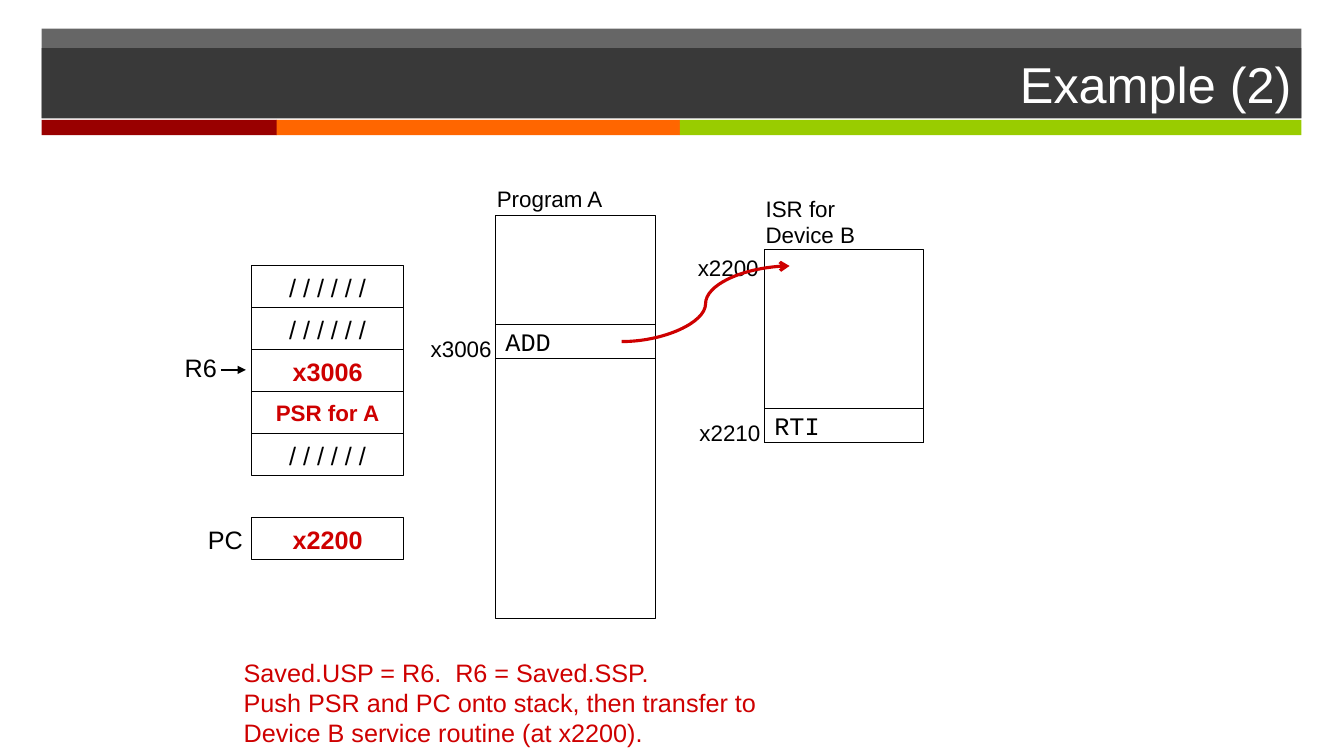
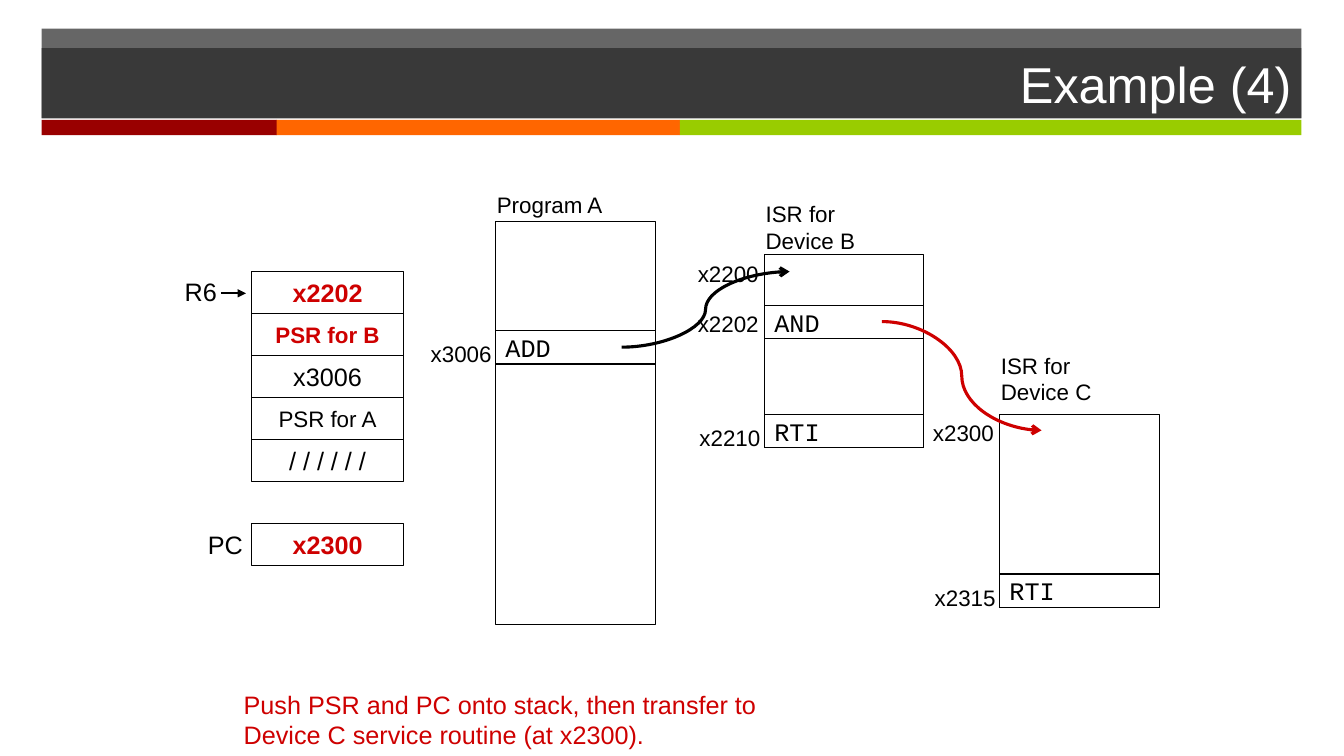
from lxml.etree import SubElement
from pptx import Presentation
from pptx.dml.color import RGBColor
from pptx.enum.shapes import MSO_CONNECTOR, MSO_SHAPE
from pptx.enum.text import MSO_ANCHOR, MSO_AUTO_SIZE, PP_ALIGN
from pptx.oxml.ns import qn
from pptx.util import Pt

COLORS = {
    "black": "000000",
    "white": "FFFFFF",
    "red": "CE0000",
    "band": "262626",
    "stripe_red": "990000",
    "stripe_orange": "FF6600",
    "stripe_green": "99CC00",
}
STRIPES = [("stripe_red", 168), ("stripe_orange", 288), ("stripe_green", 444)]

# Address labels: overhang past the block's left edge, drop below the row's top
AT_TOP = (3, 0)
AT_ROW = (4.2, 3.5)


class Deck:
    """Holds the shared style and the slide being drawn."""

    font, code_font = "Arial", "Courier New"
    text_size, label_size, title_size = 18, 16, 36
    inset = 7.2
    band_left, band_width = 29.7, 900
    stack_left, cell_width, cell_height = 180, 108, 30
    block_width, row_height = 114, 24

    def __init__(self):
        self.presentation = Presentation()
        self.presentation.slide_width = Pt(960)
        self.presentation.slide_height = Pt(540)
        self.slide = None

    # Basic elements
    def add_text(self, shape, text, size, color="black", bold=False, font=None,
                 align=PP_ALIGN.LEFT, wrap=False):
        """Each string in a list is a paragraph; a newline is a line break."""
        frame = shape.text_frame
        frame.word_wrap = wrap
        paragraphs = [text] if isinstance(text, str) else text
        for index, content in enumerate(paragraphs):
            paragraph = frame.add_paragraph() if index else frame.paragraphs[0]
            paragraph.alignment = align
            for number, line in enumerate(content.split("\n")):
                if number:
                    paragraph.add_line_break()
                run = paragraph.add_run()
                run.text = line
                run.font.name = font or self.font
                run.font.size = Pt(size)
                run.font.bold = bold
                run.font.color.rgb = RGBColor.from_string(COLORS[color])

    def box(self, left, top, width, height, fill=None, alpha=None):
        """A filled rectangle without outline, or an outlined empty one."""
        shape = self.slide.shapes.add_shape(
            MSO_SHAPE.RECTANGLE, Pt(left), Pt(top), Pt(width), Pt(height))
        shape.shadow.inherit = False
        shape.text_frame.vertical_anchor = MSO_ANCHOR.MIDDLE
        if fill:
            shape.fill.solid()
            shape.fill.fore_color.rgb = RGBColor.from_string(COLORS[fill])
            shape.line.fill.background()
        else:
            shape.fill.background()
            shape.line.color.rgb = RGBColor.from_string(COLORS["black"])
            shape.line.width = Pt(0.75)
        if alpha:
            color = shape.element.spPr.find(qn("a:solidFill"))[0]
            SubElement(color, qn("a:alpha"), val=str(alpha * 1000))
        return shape

    def label(self, left, top, width, height, text, size, **style):
        shape = self.slide.shapes.add_textbox(
            Pt(left), Pt(top), Pt(width), Pt(height))
        self.add_text(shape, text, size, **style)
        shape.text_frame.auto_size = MSO_AUTO_SIZE.SHAPE_TO_FIT_TEXT

    def arrow(self, start, end, color="black", width=2.25,
              kind=MSO_CONNECTOR.CURVE, head="arrow"):
        connector = self.slide.shapes.add_connector(
            kind, *[Pt(value) for value in (*start, *end)])
        connector.line.color.rgb = RGBColor.from_string(COLORS[color])
        connector.line.width = Pt(width)
        properties = connector.element.spPr
        SubElement(properties.find(qn("a:ln")), qn("a:tailEnd"), type=head)
        SubElement(properties, qn("a:effectLst"))

    # Slide frame
    def new_slide(self, title):
        layout = self.presentation.slide_layouts[6]
        self.slide = self.presentation.slides.add_slide(layout)
        self.box(self.band_left, 20.4, self.band_width, 64, "band", 70)
        left = self.band_left
        for color, width in STRIPES:
            self.box(left, 85.7, width, 10.8, color)
            left += width
        shape = self.box(self.band_left, 34.4, self.band_width, 50.2, "band", 70)
        self.add_text(shape, title, self.title_size, "white",
                      align=PP_ALIGN.RIGHT, wrap=True)

    # Stack with its registers
    def cell(self, top, text, changed):
        shape = self.box(self.stack_left, top, self.cell_width, self.cell_height)
        size = self.label_size if text.startswith("PSR") else self.text_size
        self.add_text(shape, text, size, "red" if changed else "black",
                      bold=changed, align=PP_ALIGN.CENTER)

    def stack(self, top, cells, pointer_top, program_counter):
        for index, (text, changed) in enumerate(cells):
            self.cell(top + index * self.cell_height, text, changed)
        counter_top = top + (len(cells) + 1) * self.cell_height
        self.cell(counter_top, program_counter, True)
        self.label(141, counter_top + 0.6, 39.6, 29, "PC", self.text_size,
                   align=PP_ALIGN.RIGHT)
        self.label(124.6, pointer_top, 37.4, 29, "R6", self.text_size,
                   align=PP_ALIGN.RIGHT)
        arrow_y = pointer_top + 15.8
        self.arrow((157.7, arrow_y), (175.7, arrow_y), width=1.5,
                   kind=MSO_CONNECTOR.STRAIGHT, head="triangle")

    # Block of memory: rows are (offset, address, instruction, label place)
    def block(self, left, top, height, caption, caption_rise, rows):
        self.box(left, top, self.block_width, height)
        self.label(left - self.inset + 1, top - caption_rise, 90,
                   46 if "\n" in caption else 26.6, caption, self.label_size)
        for offset, address, instruction, (overhang, drop) in rows:
            row_top = top + offset
            if instruction:
                shape = self.box(left, row_top, self.block_width, self.row_height)
                self.add_text(shape, instruction, self.text_size,
                              font=self.code_font)
            self.label(left + overhang - 58.3, row_top + drop, 58.3, 26.6,
                       address, self.label_size, align=PP_ALIGN.RIGHT)

    def message(self, top, paragraphs):
        self.label(167, top, 384, 22 * len(paragraphs) + 29, paragraphs,
                   self.text_size, color="red")


def draw_program_and_device_b(deck, shift, call_color, extra_rows=()):
    """Program A calling the service routine of device B."""
    deck.block(354, 154 + shift, 288, "Program A", 25.2,
               [(78, "x3006", "ADD", AT_ROW)])
    deck.block(546, 178 + shift, 138, "ISR for\nDevice B", 42.5,
               [(0, "x2200", None, AT_TOP), *extra_rows,
                (114, "x2210", "RTI", AT_ROW)])
    deck.arrow((444, 244 + shift), (564, 190 + shift), call_color)


def main():
    deck = Deck()
    unused = ("/ / / / / /", False)

    # Device B interrupts program A
    deck.new_slide("Example (2)")
    deck.stack(190, [unused, unused, ("x3006", True), ("PSR for A", True), unused],
               248.4, "x2200")
    draw_program_and_device_b(deck, 0, "red")
    deck.message(465.8, [
        "Saved.USP = R6.  R6 = Saved.SSP.",
        "Push PSR and PC onto stack, then transfer to\n"
        "Device B service routine (at x2200)."])

    # Device C interrupts device B
    deck.new_slide("Example (4)")
    deck.stack(194, [("x2202", True), ("PSR for B", True), ("x3006", False),
                     ("PSR for A", False), unused], 193.7, "x2300")
    draw_program_and_device_b(deck, 4, "black", [(36, "x2202", "AND", AT_TOP)])
    deck.block(714, 296, 138, "ISR for\nDevice C", 48.3,
               [(0, "x2300", None, AT_TOP), (114, "x2315", "RTI", AT_ROW)])
    deck.arrow((630, 229.7), (744, 307.4), "red")
    deck.message(488.9, [
        "Push PSR and PC onto stack, then transfer to\n"
        "Device C service routine (at x2300)."])

    deck.presentation.save("out.pptx")


if __name__ == "__main__":
    main()
